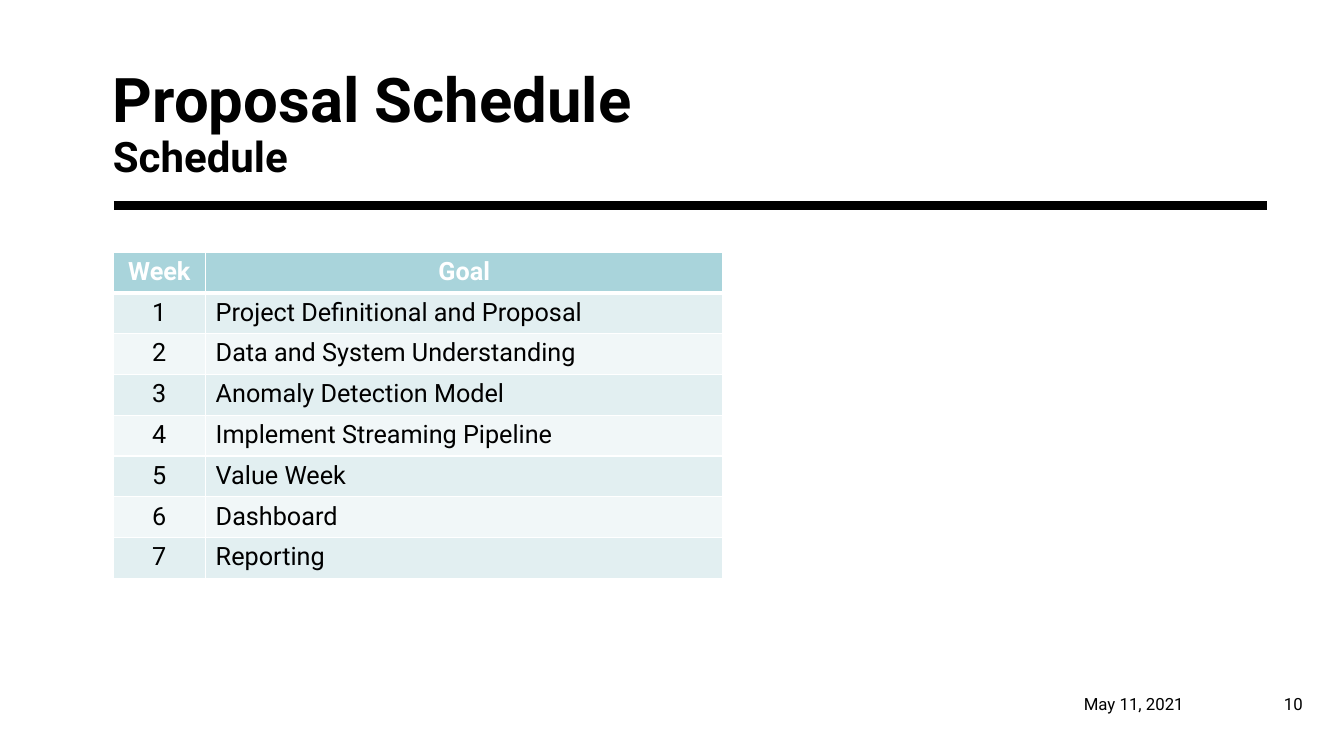
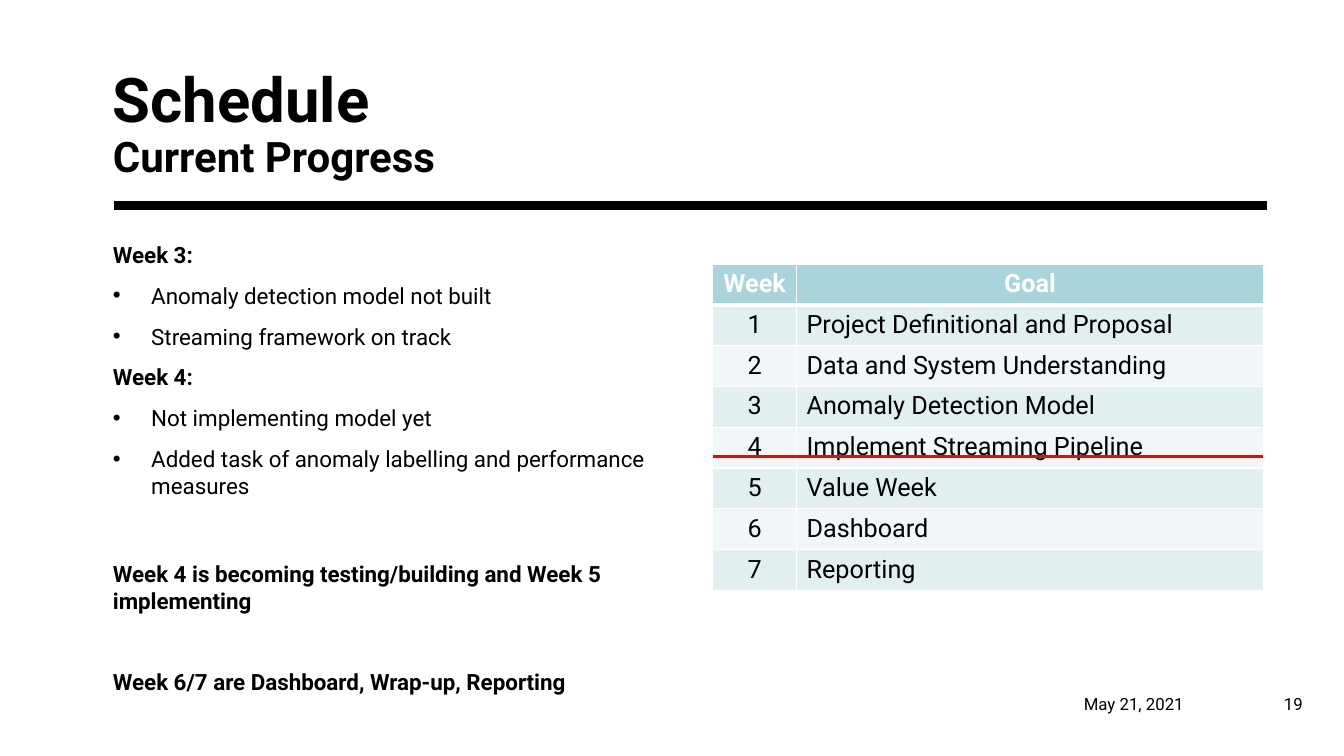
"""Build two schedule slides: the proposed weeks and the current progress."""
import pptx
import pptx.dml.color
import pptx.enum.shapes
import pptx.enum.text
import pptx.oxml
import pptx.oxml.ns
import pptx.util
from lxml import etree

Inches = pptx.util.Inches
Pt = pptx.util.Pt
RGBColor = pptx.dml.color.RGBColor
ALIGN = pptx.enum.text.PP_ALIGN
ANCHOR = pptx.enum.text.MSO_ANCHOR
qn = pptx.oxml.ns.qn

BLACK = RGBColor(0x00, 0x00, 0x00)
WHITE = RGBColor(0xFF, 0xFF, 0xFF)
RED = RGBColor(0xFF, 0x00, 0x00)
HEADER_TEAL = RGBColor(0xA9, 0xD4, 0xDB)
BAND_DARK = RGBColor(0xE2, 0xEF, 0xF1)
BAND_LIGHT = RGBColor(0xF1, 0xF7, 0xF8)
FONT = "Roboto"
LEFT = 1.12

GOALS = [
    "Project Definitional and Proposal",
    "Data and System Understanding",
    "Anomaly Detection Model",
    "Implement Streaming Pipeline",
    "Value Week",
    "Dashboard",
    "Reporting",
]
SCHEDULE = [("Week", "Goal")] + [(str(week), goal) for week, goal in enumerate(GOALS, 1)]

SLIDES = [
    {"title": "Proposal Schedule", "subtitle": "Schedule", "date": "May 11, 2021",
     "number": "10", "table": (LEFT, 2.5), "columns": (0.92, 5.13)},
    {"title": "Schedule", "subtitle": "Current Progress", "date": "May 21, 2021",
     "number": "19", "table": (7.07, 2.62), "columns": (0.83, 4.63)},
]

PROGRESS = [
    ("Week 3:", False, 10),
    ("Anomaly detection model not built", True, 10),
    ("Streaming framework on track", True, 10),
    ("Week 4:", False, 10),
    ("Not implementing model yet", True, 10),
    ("Added task of anomaly labelling and performance measures", True, 10),
    ("Week 4 is becoming testing/building and Week 5 implementing", False, 43.5),
    ("Week 6/7 are Dashboard, Wrap-up, Reporting", False, 39),
]


def add_text(slide, box, lines, sizes, bold=False, anchor=ANCHOR.TOP, inset=(0, 0)):
    """Add a text box whose runs take the given sizes in turn."""
    frame = slide.shapes.add_textbox(*map(Inches, box)).text_frame
    frame.word_wrap = True
    frame.vertical_anchor = anchor
    frame.margin_left = frame.margin_right = Inches(inset[0])
    frame.margin_top = frame.margin_bottom = Inches(inset[1])
    frame.text = lines
    for paragraph in frame.paragraphs:
        for run, size in zip(paragraph.runs, sizes):
            run.font.name = FONT
            run.font.size = Pt(size)
            run.font.bold = bold
            run.font.color.rgb = BLACK
    return frame


def add_line(slide, start, end, y, color, width):
    """Add a horizontal line without a shadow."""
    line = slide.shapes.add_connector(
        pptx.enum.shapes.MSO_CONNECTOR.STRAIGHT,
        Inches(start), Inches(y), Inches(end), Inches(y))
    line.line.color.rgb = color
    line.line.width = Pt(width)
    etree.SubElement(line._element.spPr, qn("a:effectLst"))


presentation = pptx.Presentation()
presentation.slide_width = Inches(13.33)
presentation.slide_height = Inches(7.5)

for content in SLIDES:
    slide = presentation.slides.add_slide(presentation.slide_layouts[6])
    add_line(slide, 1.13, 12.57, 2.04, BLACK, 6)
    heading = add_text(slide, (LEFT, 0.42, 11.03, 1.38),
                       content["title"] + "\v" + content["subtitle"],
                       (44, 30), bold=True, anchor=ANCHOR.BOTTOM)
    heading.paragraphs[0].line_spacing = 0.9
    add_text(slide, (10.75, 6.88, 1.67, 0.2), content["date"], (12,),
             anchor=ANCHOR.MIDDLE, inset=(0, 0.05))
    number = add_text(slide, (12.57, 6.88, 0.45, 0.2), content["number"], (12,),
                      anchor=ANCHOR.MIDDLE, inset=(0.1, 0.05))
    number.paragraphs[0].alignment = ALIGN.RIGHT

    left, top = content["table"]
    schedule = slide.shapes.add_table(
        len(SCHEDULE), 2, Inches(left), Inches(top),
        Inches(sum(content["columns"])), Inches(3.24)).table
    for column, width in zip(schedule.columns, content["columns"]):
        column.width = Inches(width)
    for row, texts in enumerate(SCHEDULE):
        for column, text in enumerate(texts):
            cell = schedule.cell(row, column)
            header = row == 0
            cell.text = text
            paragraph = cell.text_frame.paragraphs[0]
            paragraph.alignment = ALIGN.CENTER if header or column == 0 else ALIGN.LEFT
            font = paragraph.runs[0].font
            font.name = FONT
            font.size = Pt(18)
            font.bold = header
            font.color.rgb = WHITE if header else BLACK
            cell.fill.solid()
            cell.fill.fore_color.rgb = (
                HEADER_TEAL if header else BAND_DARK if row % 2 else BAND_LIGHT)
            borders = {"L": 1, "R": 1, "T": 3 if row == 1 else 1, "B": 3 if header else 1}
            for place, (side, points) in enumerate(borders.items()):
                border = etree.Element(qn("a:ln" + side), w=str(Pt(points)))
                fill = etree.SubElement(border, qn("a:solidFill"))
                etree.SubElement(fill, qn("a:srgbClr"), val=str(WHITE))
                cell._tc.get_or_add_tcPr().insert(place, border)

add_line(slide, 7.07, 12.53, 4.53, RED, 2)
progress = add_text(slide, (LEFT, 2.39, 5.39, 4.4),
                    "\n".join(text for text, _, _ in PROGRESS), (16,), bold=True)
for paragraph, (_, bulleted, space) in zip(progress.paragraphs, PROGRESS):
    paragraph.space_before = Pt(space)
    if bulleted:
        paragraph.runs[0].font.bold = False
        properties = paragraph._p.get_or_add_pPr()
        properties.set("marL", str(Inches(0.38)))
        properties.set("indent", str(-Inches(0.38)))
        etree.SubElement(properties, qn("a:buFont"), typeface="Arial")
        etree.SubElement(properties, qn("a:buChar"), char="•")

presentation.save("out.pptx")
